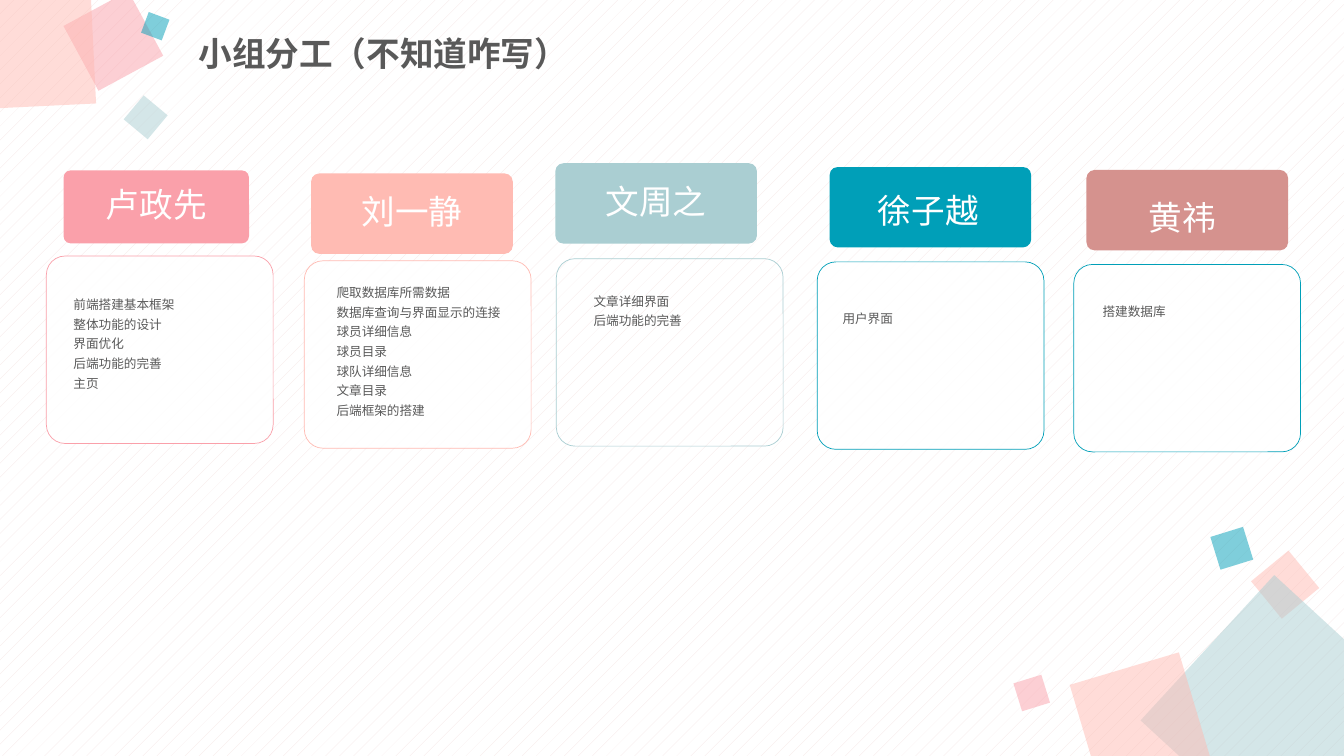
from dataclasses import dataclass

from lxml.etree import SubElement
from pptx import Presentation
from pptx.dml.color import RGBColor
from pptx.enum.dml import MSO_PATTERN
from pptx.enum.shapes import MSO_SHAPE as Preset
from pptx.enum.text import MSO_ANCHOR as Anchor, PP_ALIGN as Align
from pptx.oxml.ns import qn
from pptx.util import Pt


@dataclass(frozen=True)
class Theme:
    rose: str = "FAA0AA"
    peach: str = "FFBBB3"
    mist: str = "AACED2"
    teal: str = "009FB8"
    clay: str = "D5928E"
    white: str = "FFFFFF"
    dots: str = "F5E5E4"
    ink: str = "595959"
    heading_size: int = 24
    task_size: int = 9
    heading_font: str = "League Spartan"
    body_font: str = "Noto Sans CJK SC"


class SlideBuilder:
    def __init__(self, slide, theme):
        self.slide = slide
        self.theme = theme

    def background(self):
        fill = self.slide.background.fill
        fill.patterned()
        fill.pattern = MSO_PATTERN.PERCENT_5
        fill.fore_color.rgb = RGBColor.from_string(self.theme.dots)
        fill.back_color.rgb = RGBColor.from_string(self.theme.white)

    def shape(self, preset, box, fill=None, opacity=100, line=None):
        shape = self.slide.shapes.add_shape(preset, *map(Pt, box))
        shape.shadow.inherit = False
        if fill:
            shape.fill.solid()
            shape.fill.fore_color.rgb = RGBColor.from_string(fill)
            if opacity < 100:
                color = shape.element.spPr.find(qn("a:solidFill"))[0]
                SubElement(color, qn("a:alpha"), val=str(opacity * 1000))
        else:
            shape.fill.background()
        if line:
            shape.line.color.rgb = RGBColor.from_string(line)
            shape.line.width = Pt(0.5)
        else:
            shape.line.fill.background()
        return shape

    def square(self, left, top, side, angle, color):
        square = self.shape(Preset.RECTANGLE, (left, top, side, side), color, 50)
        square.rotation = angle

    def rounded(self, box, **style):
        rounded = self.shape(Preset.ROUNDED_RECTANGLE, box, **style)
        rounded.adjustments[0] = 0.1
        return rounded

    def add_lines(self, frame, lines, size, font, color, spacing,
                  align=Align.LEFT, anchor=Anchor.TOP, bold=False):
        frame.word_wrap = True
        frame.vertical_anchor = anchor
        for index, line in enumerate(lines):
            paragraph = frame.add_paragraph() if index else frame.paragraphs[0]
            paragraph.alignment = align
            paragraph.line_spacing = spacing
            run = paragraph.add_run()
            run.text = line
            run.font.size = Pt(size)
            run.font.bold = bold
            run.font.color.rgb = RGBColor.from_string(color)
            run.font.name = font
            SubElement(run.font._element, qn("a:ea"), typeface=self.theme.body_font)

    def title(self, text, box):
        title = self.slide.shapes.title
        title.left, title.top, title.width, title.height = map(Pt, box)
        self.add_lines(title.text_frame, [text], self.theme.heading_size,
                       self.theme.body_font, self.theme.ink, 0.9,
                       anchor=Anchor.MIDDLE, bold=True)

    def member_name(self, frame, text, spacing, anchor):
        self.add_lines(frame, [text], self.theme.heading_size, self.theme.heading_font,
                       self.theme.white, spacing, Align.CENTER, anchor)

    def text_box(self, left, top, height):
        return self.slide.shapes.add_textbox(
            Pt(left), Pt(top), Pt(135.4), Pt(height)).text_frame

    def member(self, name, tasks, color, outline, card, header, task_at,
               header_size=(144, 57.4), name_at=None, filled=True):
        """Draw one member's card, header and tasks; name_at sets the name in its own box."""
        card_fill = self.theme.white if filled else None
        self.rounded((*card, 162, 133.9), fill=card_fill, opacity=90, line=outline)
        tab = self.rounded((*header, *header_size), fill=color)
        if name_at:
            self.member_name(self.text_box(*name_at, 41), name, 1.3, Anchor.TOP)
        else:
            self.member_name(tab.text_frame, name, 0.9, Anchor.MIDDLE)
        tasks_frame = self.text_box(*task_at, 7.2 + 14 * len(tasks))
        self.add_lines(tasks_frame, tasks, self.theme.task_size, self.theme.body_font,
                       self.theme.ink, 1.3)


def main():
    theme = Theme()
    deck = Presentation()
    deck.slide_width, deck.slide_height = Pt(960), Pt(540)
    builder = SlideBuilder(deck.slides.add_slide(deck.slide_layouts[5]), theme)
    builder.background()

    for square in (
        (900.7, 400.3, 34.6, 320.6, theme.peach),
        (843.8, 439.9, 141.1, 42.6, theme.mist),
        (774, 475.9, 81.4, 343.4, theme.peach),
        (726.5, 484.6, 20.9, 342.8, theme.rose),
        (867.6, 379.4, 24.5, 342.8, theme.teal),
        (54.7, 2.9, 52.6, 331.6, theme.rose),
        (-33.1, -23, 99.4, 357.2, theme.peach),
        (92.9, 72.7, 22.3, 309.8, theme.mist),
        (103, 10.8, 15.8, 290.5, theme.teal),
    ):
        builder.square(*square)

    builder.title("小组分工（不知道咋写）", (134.6, 18.7, 441.4, 41.8))

    builder.member(
        "卢政先", ["前端搭建基本框架", "整体功能的设计", "界面优化", "后端功能的完善", "主页"],
        theme.rose, theme.rose, card=(33.1, 182.9), header=(45.4, 121.7),
        task_at=(45.4, 205.2), header_size=(132.5, 52.2))
    builder.member(
        "刘一静", ["爬取数据库所需数据", "数据库查询与界面显示的连接", "球员详细信息", "球员目录",
                "球队详细信息", "文章目录", "后端框架的搭建"],
        theme.peach, theme.peach, card=(217.4, 186.3), header=(222.3, 123.9),
        task_at=(233.3, 196.6))
    builder.member(
        "文周之", ["文章详细界面", "后端功能的完善"],
        theme.mist, theme.mist, card=(397.4, 184.8), header=(396.7, 116.6),
        task_at=(416.9, 203), filled=False)
    builder.member(
        "徐子越", ["用户界面"],
        theme.teal, theme.teal, card=(583.7, 187.1), header=(592.6, 119.3),
        task_at=(594.7, 215.3), name_at=(595.4, 123.8))
    builder.member(
        "黄祎", ["搭建数据库"],
        theme.clay, theme.teal, card=(767, 188.9), header=(776.1, 121.4),
        task_at=(780.5, 210.2), name_at=(776.9, 128.2))

    deck.save("out.pptx")


if __name__ == "__main__":
    main()
